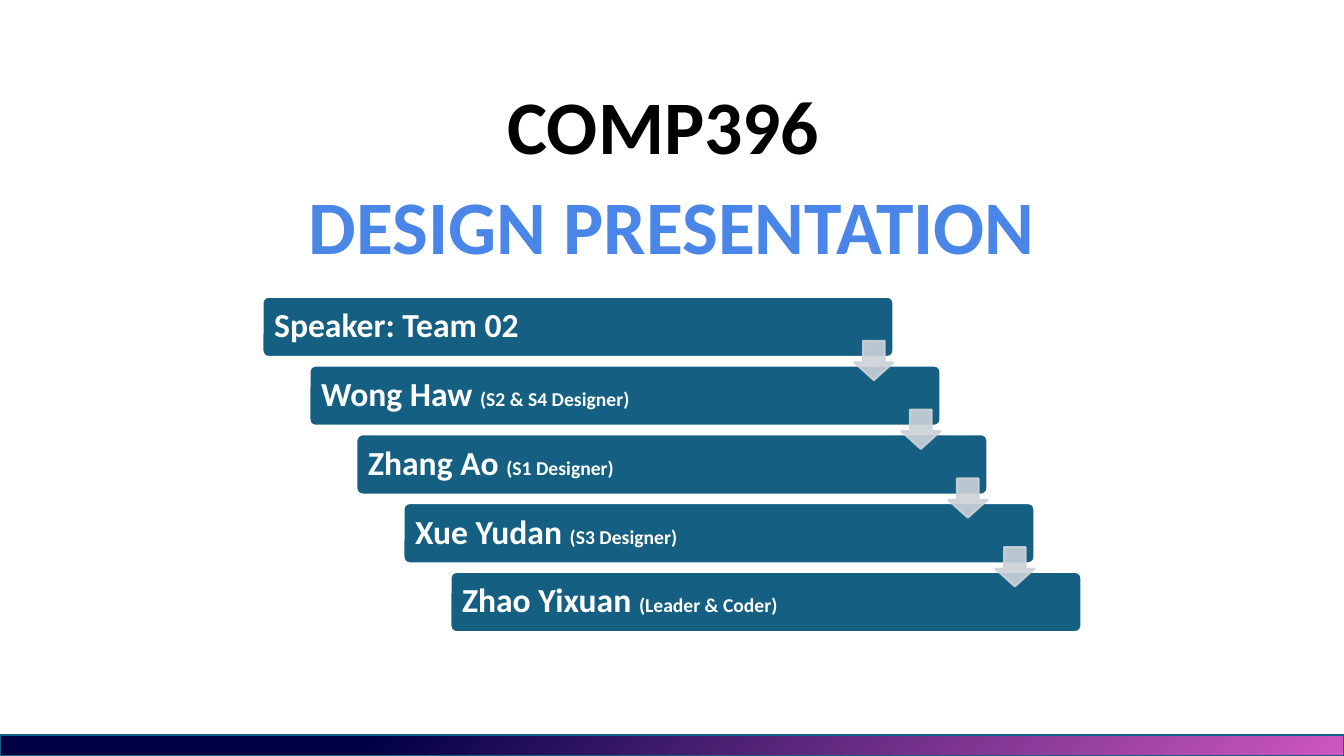
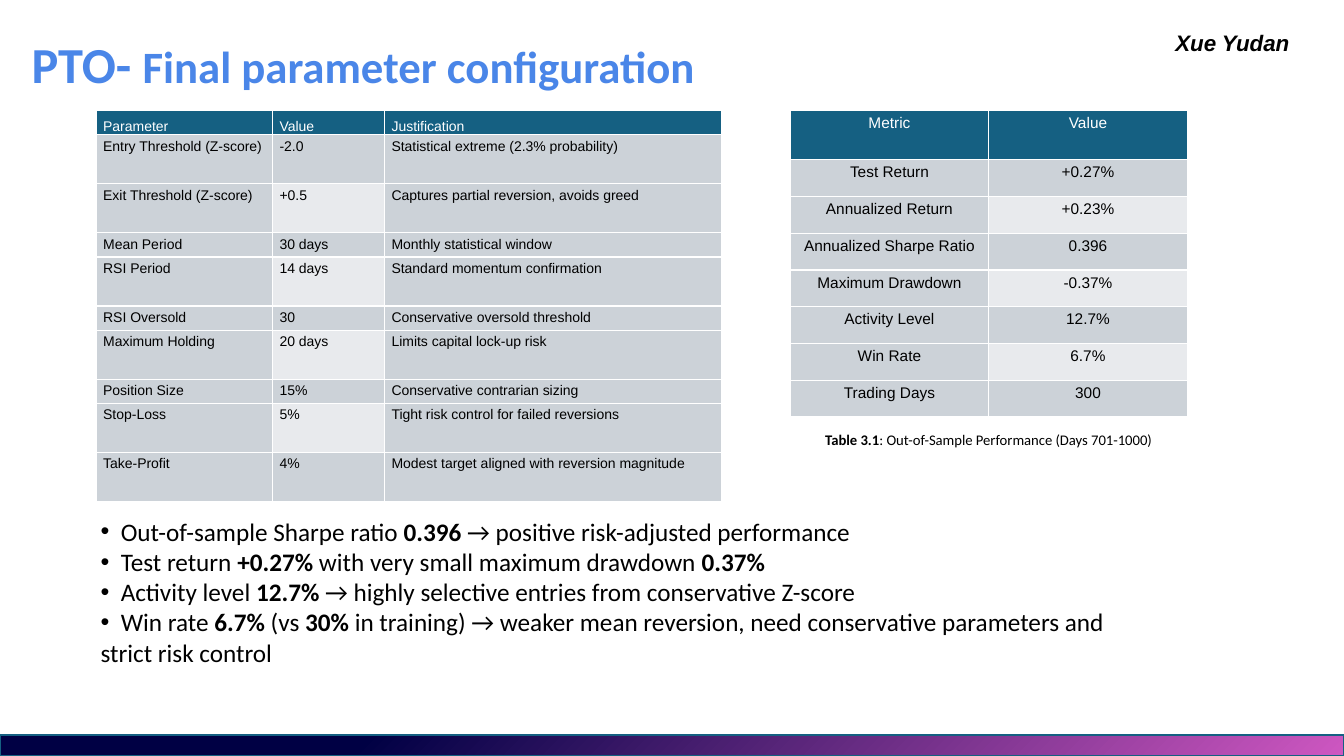
from collections import namedtuple

from lxml import etree
from pptx import Presentation
from pptx.dml.color import RGBColor
from pptx.enum.shapes import MSO_SHAPE
from pptx.enum.text import MSO_ANCHOR, PP_ALIGN
from pptx.oxml.ns import qn
from pptx.util import Pt

RECTANGLE = MSO_SHAPE.RECTANGLE
ROUNDED = MSO_SHAPE.ROUNDED_RECTANGLE
DOWN_ARROW = MSO_SHAPE.DOWN_ARROW
LEFT, CENTER = PP_ALIGN.LEFT, PP_ALIGN.CENTER
TOP, MIDDLE, BOTTOM = MSO_ANCHOR.TOP, MSO_ANCHOR.MIDDLE, MSO_ANCHOR.BOTTOM

Box = namedtuple("Box", "left top width height")
Piece = namedtuple("Piece", "text size color bold", defaults=("000000", False))

SLIDE_WIDTH, SLIDE_HEIGHT = 960, 540
BAND = Box(0, 525, SLIDE_WIDTH, 15)
TEAL, BLUE, BLACK, WHITE = "156082", "4A86E8", "000000", "FFFFFF"
CELL, CELL_LIGHT = "CCD2D8", "E8EAED"
NAVY, PINK = "000044", "CE57C1"

TEAM = [
    ("Speaker: Team 02", ""),
    ("Wong Haw ", "(S2 & S4 Designer)"),
    ("Zhang Ao ", "(S1 Designer)"),
    ("Xue Yudan ", "(S3 Designer)"),
    ("Zhao Yixuan ", "(Leader & Coder)"),
]

PARAMETERS = [
    ("Parameter", "Value", "Justification"),
    ("Entry Threshold (Z-score)", "-2.0", "Statistical extreme (2.3% probability)"),
    ("Exit Threshold (Z-score)", "+0.5", "Captures partial reversion, avoids greed"),
    ("Mean Period", "30 days", "Monthly statistical window"),
    ("RSI Period", "14 days", "Standard momentum confirmation"),
    ("RSI Oversold", "30", "Conservative oversold threshold"),
    ("Maximum Holding", "20 days", "Limits capital lock-up risk"),
    ("Position Size", "15%", "Conservative contrarian sizing"),
    ("Stop-Loss", "5%", "Tight risk control for failed reversions"),
    ("Take-Profit", "4%", "Modest target aligned with reversion magnitude"),
]
SHORT_ROW, TALL_ROW = 17.3, 35
PARAMETER_HEIGHTS = [SHORT_ROW if index in (0, 3, 5, 7) else TALL_ROW for index in range(10)]

METRICS = [
    ("Metric", "Value"),
    ("Test Return", "+0.27%"),
    ("Annualized Return", "+0.23%"),
    ("Annualized Sharpe Ratio", "0.396"),
    ("Maximum Drawdown", "-0.37%"),
    ("Activity Level", "12.7%"),
    ("Win Rate", "6.7%"),
    ("Trading Days", "300"),
]
METRIC_HEIGHTS = [35] + [26.3] * 7

FINDINGS = [
    ("Out-of-sample Sharpe ratio ", "0.396", " → positive risk-adjusted performance"),
    ("Test return ", "+0.27%", " with very small maximum drawdown ", "0.37%"),
    ("Activity level ", "12.7%", " → highly selective entries from conservative Z-score"),
    ("Win rate ", "6.7%", " (vs ", "30%", " in training) → weaker mean reversion, "
     "need conservative parameters and strict risk control"),
]


def rgb(color):
    return RGBColor.from_string(color)


def points(box):
    return [Pt(length) for length in box]


def add_xml(parent, tag, **attributes):
    return etree.SubElement(parent, qn(tag), attributes)


def format_run(run, size, color, bold=False, font="Calibri", italic=False):
    run.font.name = font
    run.font.size = Pt(size)
    run.font.bold = bold
    run.font.italic = italic
    run.font.color.rgb = rgb(color)


def write_pieces(paragraph, pieces, align=LEFT, spacing=1.0, **style):
    paragraph.alignment = align
    paragraph.line_spacing = spacing
    for piece in pieces:
        run = paragraph.add_run()
        run.text = piece.text
        format_run(run, piece.size, piece.color, piece.bold, **style)


def set_frame(frame, horizontal=0, vertical=0, anchor=TOP):
    frame.word_wrap = True
    frame.margin_left = frame.margin_right = Pt(horizontal)
    frame.margin_top = frame.margin_bottom = Pt(vertical)
    frame.vertical_anchor = anchor


def add_text(slide, box, paragraphs, margins=(0, 0), anchor=TOP, **style):
    frame = slide.shapes.add_textbox(*points(box)).text_frame
    set_frame(frame, *margins, anchor)
    for index, pieces in enumerate(paragraphs):
        paragraph = frame.add_paragraph() if index else frame.paragraphs[0]
        write_pieces(paragraph, pieces, **style)
    return frame


def add_shape(slide, kind, box, line_color, line_width):
    shape = slide.shapes.add_shape(kind, *points(box))
    shape.shadow.inherit = False
    shape.line.color.rgb = rgb(line_color)
    shape.line.width = Pt(line_width)
    return shape


def add_slide(presentation):
    slide = presentation.slides.add_slide(presentation.slide_layouts[6])
    band = add_shape(slide, RECTANGLE, BAND, TEAL, 1)
    band.fill.gradient()
    band.fill.gradient_angle = 315
    for stop, (position, color) in zip(band.fill.gradient_stops, [(0.27, NAVY), (1, PINK)]):
        stop.position = position
        stop.color.rgb = rgb(color)
    return slide


def add_bar(slide, box, name, role):
    bar = add_shape(slide, ROUNDED, box, WHITE, 1.5)
    bar.adjustments[0] = 0.1
    bar.fill.solid()
    bar.fill.fore_color.rgb = rgb(TEAL)
    set_frame(bar.text_frame, 7.2, 7.2, MIDDLE)
    pieces = [Piece(name, 24, WHITE, True)]
    if role:
        pieces.append(Piece(role, 14, WHITE, True))
    write_pieces(bar.text_frame.paragraphs[0], pieces, spacing=0.9)


def add_arrow(slide, box):
    arrow = add_shape(slide, DOWN_ARROW, box, CELL, 1.5)
    arrow.adjustments[0], arrow.adjustments[1] = 0.55, 0.45
    arrow.fill.solid()
    arrow.fill.fore_color.rgb = rgb(CELL)
    for color in arrow._element.spPr.iter(qn("a:srgbClr")):
        add_xml(color, "a:alpha", val="90000")


def add_staircase(slide, box, members):
    bar_width, bar_height, arrow_size = 450.7, 43, 28
    steps = len(members) - 1
    step_x = (box.width - bar_width) / steps
    step_y = (box.height - bar_height) / steps
    for index, (name, role) in enumerate(members):
        bar = Box(box.left + index * step_x, box.top + index * step_y, bar_width, bar_height)
        add_bar(slide, bar, name, role)
    for index in range(steps):
        left = box.left + bar_width - arrow_size + index * step_x
        top = box.top + 31.5 + index * step_y
        add_arrow(slide, Box(left, top, arrow_size, arrow_size))


def add_borders(cell):
    properties = cell._tc.get_or_add_tcPr()
    for side in "LRTB":
        line = add_xml(properties, f"a:ln{side}", w=str(Pt(1)))
        add_xml(add_xml(line, "a:solidFill"), "a:srgbClr", val=WHITE)


def cell_fill(row, column):
    if row == 0:
        return TEAL
    return CELL_LIGHT if row % 2 == 0 and column == 1 else CELL


def add_data_table(slide, box, rows, widths, heights, size, align=LEFT, header_anchor=TOP):
    shape = slide.shapes.add_table(len(rows), len(widths), *points(box))
    table = shape.table
    table.first_row = table.horz_banding = False
    for column, width in zip(table.columns, widths):
        column.width = Pt(width)
    for row_index, values in enumerate(rows):
        table.rows[row_index].height = Pt(heights[row_index])
        for column_index, value in enumerate(values):
            cell = table.cell(row_index, column_index)
            add_borders(cell)
            cell.fill.solid()
            cell.fill.fore_color.rgb = rgb(cell_fill(row_index, column_index))
            cell.margin_left = cell.margin_right = Pt(5)
            cell.margin_top = cell.margin_bottom = 0
            cell.vertical_anchor = TOP if row_index else header_anchor
            paragraph = cell.text_frame.paragraphs[0]
            paragraph.space_after = Pt(1.8)
            color = BLACK if row_index else WHITE
            write_pieces(paragraph, [Piece(value, size, color)], align, 1.25, font="Arial")


def add_findings(slide, box, findings):
    paragraphs = []
    for parts in findings:
        pieces = [Piece(part, 18, BLACK, index % 2 == 1) for index, part in enumerate(parts)]
        pieces[0] = pieces[0]._replace(text="\t" + pieces[0].text)
        paragraphs.append(pieces)
    frame = add_text(slide, box, paragraphs, (7.2, 3.6))
    for paragraph in frame.paragraphs:
        properties = paragraph._p.get_or_add_pPr()
        properties.set("marL", "0")
        properties.set("indent", "0")
        add_xml(properties, "a:buFont", typeface="Arial")
        add_xml(properties, "a:buChar", char="•")
        add_xml(add_xml(properties, "a:tabLst"), "a:tab", pos=str(Pt(14.4)), algn="l")


def build_cover(presentation):
    slide = add_slide(presentation)
    title = [[Piece("COMP396 ", 54, BLACK, True)], [Piece("DESIGN PRESENTATION", 54, BLUE, True)]]
    add_text(slide, Box(179.5, 50, 601, 144), title, align=CENTER, spacing=1.1)
    add_staircase(slide, Box(187.5, 212, 585, 239.5), TEAM)


def build_parameters(presentation):
    slide = add_slide(presentation)
    add_data_table(slide, Box(564.5, 79, 283.6, 219), METRICS, [141.8] * 2,
                   METRIC_HEIGHTS, 11, CENTER)
    add_data_table(slide, Box(68.7, 79, 446.5, 279), PARAMETERS, [126, 80, 240.5],
                   PARAMETER_HEIGHTS, 10, header_anchor=BOTTOM)
    caption = [Piece("Table 3.1", 10.5, BLACK, True),
               Piece(": Out-of-Sample Performance (Days 701-1000)", 10.5)]
    add_text(slide, Box(574.5, 304.5, 263.5, 19.5), [caption], (7.2, 3.6), MIDDLE, align=CENTER)
    add_findings(slide, Box(64.8, 365, 767, 120), FINDINGS)
    title = [Piece("PTO- ", 36, BLUE, True), Piece("Final parameter configuration", 32, BLUE, True)]
    add_text(slide, Box(22.5, 19, 868, 51), [title], spacing=1.1)
    add_text(slide, Box(823, 17.5, 114.5, 26.5), [[Piece("Xue Yudan", 16, BLACK, True)]],
             (7.2, 3.6), align=CENTER, font="Arial", italic=True)


def main():
    presentation = Presentation()
    presentation.slide_width = Pt(SLIDE_WIDTH)
    presentation.slide_height = Pt(SLIDE_HEIGHT)
    build_cover(presentation)
    build_parameters(presentation)
    presentation.save("out.pptx")


if __name__ == "__main__":
    main()
